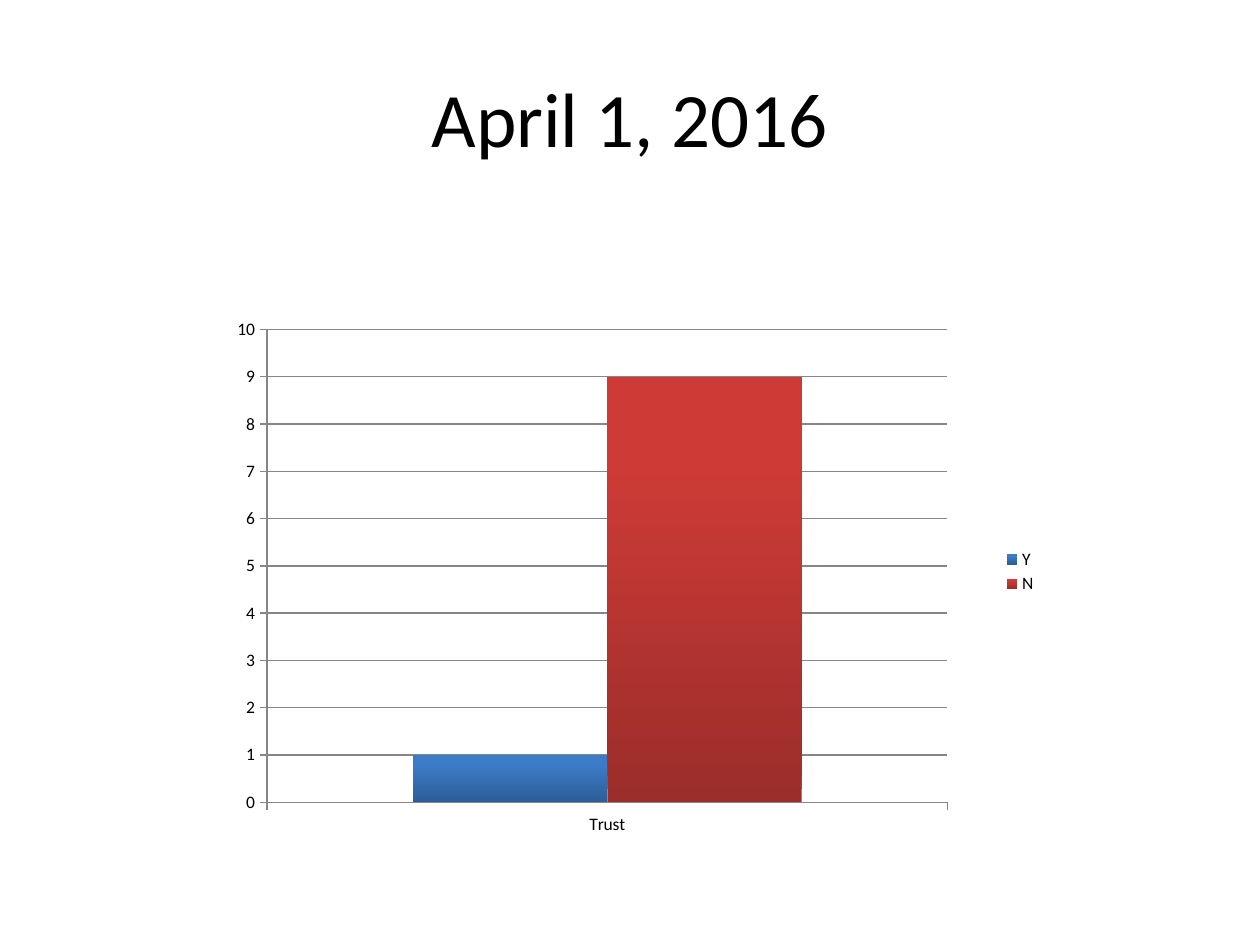
from typing import NamedTuple

from lxml.etree import SubElement
from pptx import Presentation
from pptx.chart.data import CategoryChartData
from pptx.dml.color import RGBColor
from pptx.enum.chart import XL_CHART_TYPE, XL_LEGEND_POSITION, XL_TICK_MARK
from pptx.enum.text import MSO_ANCHOR, PP_ALIGN
from pptx.oxml.ns import qn
from pptx.util import Inches, Pt

WIDE, HIGH = Inches(10), Inches(7.5)
FONT = "Calibri"
BLACK = RGBColor(0x00, 0x00, 0x00)
GRAY = RGBColor(0x86, 0x86, 0x86)


class Box(NamedTuple):
    """Left, top, width and height as shares of the whole."""
    x: float
    y: float
    w: float
    h: float

    def place(self) -> tuple[int, ...]:
        sides = (WIDE, HIGH, WIDE, HIGH)
        return tuple(int(part * side) for part, side in zip(self, sides))


class Bar(NamedTuple):
    name: str
    value: int
    base: RGBColor
    top: RGBColor


TITLE = Box(0.05, 0.04, 0.9, 1 / 6)
CHART = Box(0.158, 0.3, 0.675, 0.61)
PLOT = Box(0.08, 0.08, 0.8, 0.82)
BARS = [
    Bar("Y", 1, RGBColor(0x2C, 0x5D, 0x98), RGBColor(0x3C, 0x7B, 0xC7)),
    Bar("N", 9, RGBColor(0x9B, 0x2D, 0x2A), RGBColor(0xCE, 0x3B, 0x37)),
]


def add_title(slide, text: str) -> None:
    frame = slide.shapes.add_textbox(*TITLE.place()).text_frame
    frame.word_wrap = True
    frame.vertical_anchor = MSO_ANCHOR.MIDDLE
    para = frame.paragraphs[0]
    para.alignment = PP_ALIGN.CENTER
    run = para.add_run()
    run.text = text
    run.font.name, run.font.size = FONT, Pt(44)
    run.font.color.rgb = BLACK


def set_line(line) -> None:
    line.color.rgb = GRAY
    line.width = Pt(0.75)


def set_plot(chart, box: Box) -> None:
    """Fix the inner plot area inside the chart frame."""
    area = chart._chartSpace.chart.plotArea
    for old in area.findall(qn("c:layout")):
        area.remove(old)
    layout = SubElement(area, qn("c:layout"))
    area.insert(0, layout)
    manual = SubElement(layout, qn("c:manualLayout"))
    rules = [("layoutTarget", "inner"), ("xMode", "edge"), ("yMode", "edge")]
    for tag, val in rules + list(box._asdict().items()):
        SubElement(manual, qn(f"c:{tag}")).set("val", str(val))


def add_chart(slide) -> None:
    data = CategoryChartData()
    data.categories = ["Trust"]
    for bar in BARS:
        data.add_series(bar.name, [bar.value])
    chart = slide.shapes.add_chart(
        XL_CHART_TYPE.COLUMN_CLUSTERED, *CHART.place(), data).chart
    chart.has_title = False
    chart.font.name, chart.font.size = FONT, Pt(10)
    chart.font.color.rgb = BLACK
    set_plot(chart, PLOT)

    # Axes and gridlines
    for axis in (chart.category_axis, chart.value_axis):
        axis.major_tick_mark = XL_TICK_MARK.OUTSIDE
        axis.minor_tick_mark = XL_TICK_MARK.NONE
        set_line(axis.format.line)
    scale = chart.value_axis
    scale.minimum_scale, scale.maximum_scale, scale.major_unit = 0, 10, 1
    scale.has_major_gridlines = True
    set_line(scale.major_gridlines.format.line)

    # Legend
    chart.has_legend = True
    chart.legend.position = XL_LEGEND_POSITION.RIGHT
    chart.legend.include_in_layout = False

    # Columns, shaded from base to top
    plot = chart.plots[0]
    plot.gap_width, plot.overlap, plot.vary_by_categories = 150, 0, False
    for bar, series in zip(BARS, plot.series):
        fill = series.format.fill
        fill.gradient()
        fill.gradient_angle = 90
        low, high = fill.gradient_stops
        low.color.rgb, high.color.rgb = bar.base, bar.top
        low.position, high.position = 0, 0.8


def main() -> None:
    deck = Presentation()
    deck.slide_width, deck.slide_height = WIDE, HIGH
    slide = deck.slides.add_slide(deck.slide_layouts[6])
    add_title(slide, "April 1, 2016")
    add_chart(slide)
    deck.save("out.pptx")


if __name__ == "__main__":
    main()
